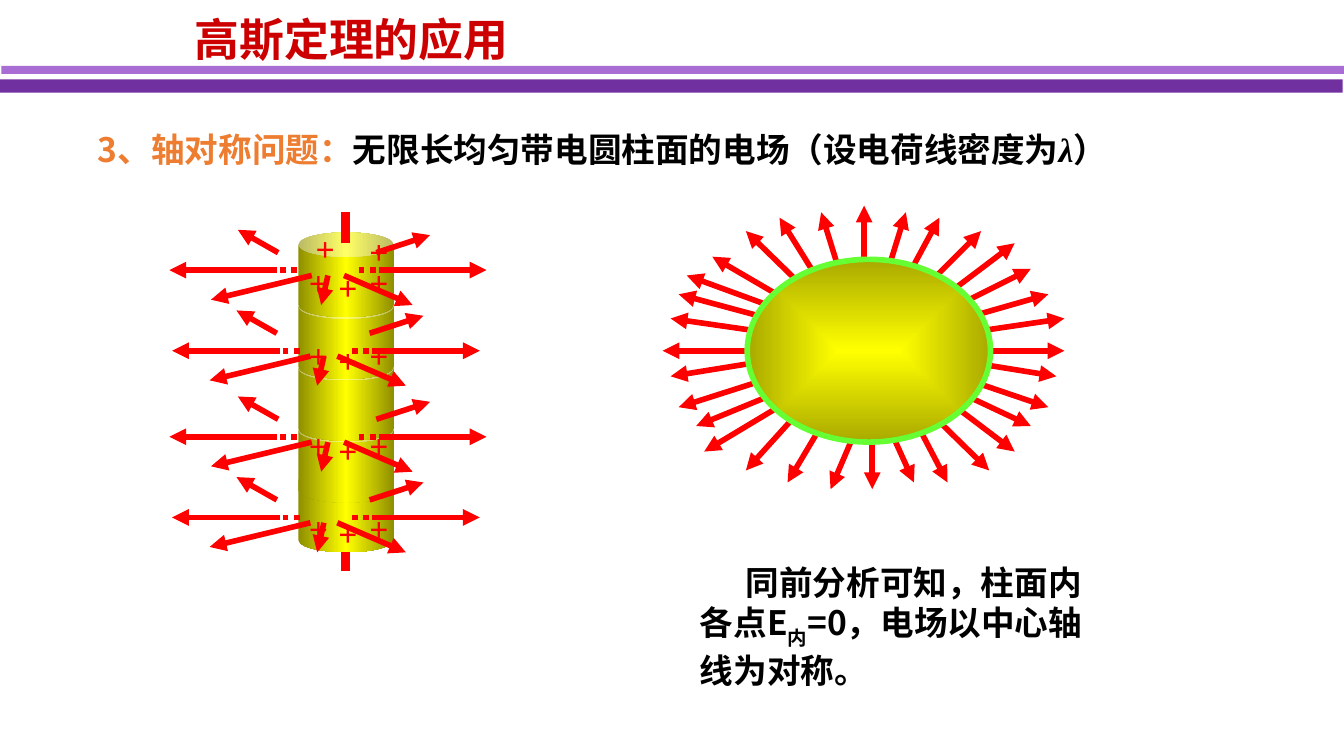
from lxml.etree import SubElement
from pptx import Presentation
from pptx.dml.color import RGBColor
from pptx.enum.dml import MSO_LINE_DASH_STYLE as Dash
from pptx.enum.shapes import MSO_CONNECTOR as Connector, MSO_SHAPE as Shape
from pptx.oxml import parse_xml
from pptx.oxml.ns import nsdecls, qn
from pptx.util import Inches, Pt

SANS = "Noto Sans CJK SC"
SERIF = "Times New Roman"
BLACK = RGBColor(0x00, 0x00, 0x00)
RED = RGBColor(0xFF, 0x00, 0x00)
TITLE_RED = RGBColor(0xCC, 0x00, 0x00)
ORANGE = RGBColor(0xED, 0x7D, 0x31)
PURPLE = RGBColor(0x70, 0x30, 0xA0)
LILAC = RGBColor(0xA8, 0x6E, 0xD4)
GREEN = RGBColor(0x66, 0xFF, 0x33)
YELLOW = RGBColor(0xFF, 0xFF, 0x00)
OLIVE = RGBColor(0x8F, 0x8F, 0x00)
DARK_YELLOW = RGBColor(0xA9, 0xA9, 0x00)

AXIS_X = 2.57
CAN_TOPS = (3.48, 3.11, 2.65, 2.19, 1.73)
CHARGE_TOPS = (1.9, 2.44, 3.11, 3.73)
CHARGE_COLUMNS = ((2.2, 0), (2.42, 0.04), (2.65, 0))
RIM_CHARGES = ((2.25, 1.65), (2.65, 1.67))
RINGS = ((2.01, 0), (2.61, 1), (3.25, 0), (3.85, 1))

# start x, start dy, end x, end dy, x shift on every second ring, dotted
RING_LINES = (
    (2.82, 0, 3.62, 0, -0.05, False),
    (2.67, 0, 2.92, 0, -0.05, True),
    (2.06, 0, 1.26, 0, 0.02, False),
    (2.21, 0, 1.96, 0, 0.02, True),
    (2.32, 0.04, 1.57, 0.22, -0.01, False),
    (2.56, 0.04, 3.07, 0.26, -0.05, False),
    (2.44, 0.04, 2.39, 0.26, -0.03, False),
    (2.8, -0.13, 3.2, -0.26, -0.05, False),
    (2.07, -0.13, 1.77, -0.3, -0.01, False),
)
RADIAL_LINES = (
    (6.43, 2.33, 6.43, 1.53), (6.61, 3.17, 6.8, 3.59),
    (6.74, 2.61, 7.92, 2.61), (6.11, 2.61, 4.93, 2.61),
    (6.49, 2.84, 6.49, 3.64), (6.14, 2.4, 5.3, 1.91),
    (6.77, 2.4, 7.55, 1.81), (6.14, 2.82, 5.24, 3.36),
    (6.77, 2.77, 7.55, 3.36), (6.61, 2.75, 7.05, 3.59),
    (6.36, 2.75, 5.86, 3.59), (6.53, 2.47, 6.99, 1.62),
    (6.33, 2.47, 5.8, 1.62), (6.24, 2.51, 5.05, 2.19),
    (6.24, 2.65, 5.05, 3.03), (6.68, 2.51, 7.8, 2.19),
    (6.68, 2.65, 7.8, 3.03), (7.24, 2.47, 7.92, 2.37),
    (5.68, 2.47, 4.99, 2.37), (7.11, 2.28, 7.67, 2),
    (5.74, 2.28, 5.11, 2.05), (6.93, 2.09, 7.3, 1.72),
    (5.93, 2.09, 5.55, 1.72), (6.61, 2, 6.74, 1.58),
    (6.24, 2, 6.11, 1.58), (5.61, 2.7, 4.99, 2.8),
    (7.24, 2.7, 7.86, 2.8), (5.74, 2.94, 5.18, 3.17),
    (7.18, 2.94, 7.67, 3.17), (5.93, 3.08, 5.55, 3.5),
    (6.93, 3.08, 7.36, 3.5), (6.36, 3.22, 6.18, 3.64),
)


def add_solid(page, kind, left, top, width, height):
    solid = page.shapes.add_shape(
        kind, Inches(left), Inches(top), Inches(width), Inches(height))
    solid.shadow.inherit = False
    solid.line.fill.background()
    return solid


def add_bar(page, left, top, width, height, color):
    bar = add_solid(page, Shape.RECTANGLE, left, top, width, height)
    bar.fill.solid()
    bar.fill.fore_color.rgb = color


def set_gradient(solid, stops, direction):
    marks = "".join(
        f'<a:gs pos="{percent * 1000}"><a:srgbClr val="{color}"/></a:gs>'
        for percent, color in stops)
    gradient = parse_xml(
        f'<a:gradFill {nsdecls("a")} rotWithShape="1">'
        f"<a:gsLst>{marks}</a:gsLst>{direction}</a:gradFill>")
    solid._element.spPr.find(qn("a:prstGeom")).addnext(gradient)


def add_can(page, top):
    can = add_solid(page, Shape.CAN, 2.22, top, 0.71, 0.63)
    can.adjustments[0] = 0.288
    set_gradient(can, ((0, OLIVE), (50, YELLOW), (100, OLIVE)),
                 '<a:lin ang="0" scaled="1"/>')


def add_cross_section(page):
    section = add_solid(page, Shape.OVAL, 5.56, 1.93, 1.81, 1.36)
    set_gradient(section, ((0, YELLOW), (100, DARK_YELLOW)),
                 '<a:path path="shape"><a:fillToRect l="50000" t="50000" '
                 'r="50000" b="50000"/></a:path>')
    section.line.color.rgb = GREEN
    section.line.width = Pt(3)


def add_line(page, x1, y1, x2, y2, width=3, arrow=True, dotted=False):
    line = page.shapes.add_connector(
        Connector.STRAIGHT, Inches(x1), Inches(y1), Inches(x2), Inches(y2))
    line.line.color.rgb = RED
    line.line.width = Pt(width)
    if dotted:
        line.line.dash_style = Dash.ROUND_DOT
    elif arrow:
        SubElement(line.line._get_or_add_ln(), qn("a:tailEnd"), type="triangle")
    SubElement(line._element.spPr, qn("a:effectLst"))


def add_text(page, left, top, width, height, wrap=True):
    box = page.shapes.add_textbox(
        Inches(left), Inches(top), Inches(width), Inches(height))
    box.text_frame.word_wrap = wrap
    return box.text_frame.paragraphs[0]


def add_span(para, text, size, color, name=SANS):
    span = para.add_run()
    span.text = text
    span.font.size = Pt(size)
    span.font.bold = True
    span.font.color.rgb = color
    span.font.name = name
    SubElement(span.font._element, qn("a:ea"), typeface=name)
    return span


def add_charge(page, left, top):
    add_span(add_text(page, left, top, 0.35, 0.4, wrap=False),
             "+", 18, RED, SERIF)


def add_heading(page):
    add_span(add_text(page, 1.35, 0.04, 4.84, 0.5), "高斯定理的应用", 24, TITLE_RED)
    add_bar(page, 0, 0.59, 9.99, 0.1, PURPLE)
    add_bar(page, 0.01, 0.49, 9.99, 0.06, LILAC)
    para = add_text(page, 0.63, 0.91, 8.59, 0.4)
    add_span(para, "3、轴对称问题：", 18, ORANGE)
    add_span(para, "无限长均匀带电圆柱面的电场（设电荷线密度为", 18, BLACK)
    add_span(para, "λ", 18, BLACK, SERIF).font.italic = True
    add_span(para, "）", 18, BLACK)


def add_cylinder(page):
    add_line(page, AXIS_X, 4.25, AXIS_X, 4.07, width=4.5, arrow=False)
    for top in CAN_TOPS:
        add_can(page, top)
    for top in CHARGE_TOPS:
        for left, drop in CHARGE_COLUMNS:
            add_charge(page, left, top + drop)
    add_line(page, AXIS_X, 1.81, AXIS_X, 1.58, width=4.5, arrow=False)
    for left, top in RIM_CHARGES:
        add_charge(page, left, top)
    for y, shifted in RINGS:
        for x1, dy1, x2, dy2, shift, dotted in RING_LINES:
            offset = shift * shifted
            add_line(page, x1 + offset, y + dy1, x2 + offset, y + dy2,
                     dotted=dotted)


def add_conclusion(page):
    para = add_text(page, 5.11, 4.13, 3.12, 1.01)
    para._p.get_or_add_pPr().set("indent", str(Inches(0.34)))
    add_span(para, "同前分析可知，柱面内各点E", 18, BLACK)
    subscript = add_span(para, "内", 18, BLACK)
    subscript.font._element.set("baseline", "-30000")
    add_span(para, "=0，电场以中心轴线为对称。", 18, BLACK)


def main():
    deck = Presentation()
    deck.slide_width = Inches(10)
    deck.slide_height = deck.slide_width * 9 // 16
    page = deck.slides.add_slide(deck.slide_layouts[6])
    add_heading(page)
    add_cylinder(page)
    add_conclusion(page)
    for ends in RADIAL_LINES:
        add_line(page, *ends)
    add_cross_section(page)
    deck.save("out.pptx")


if __name__ == "__main__":
    main()
